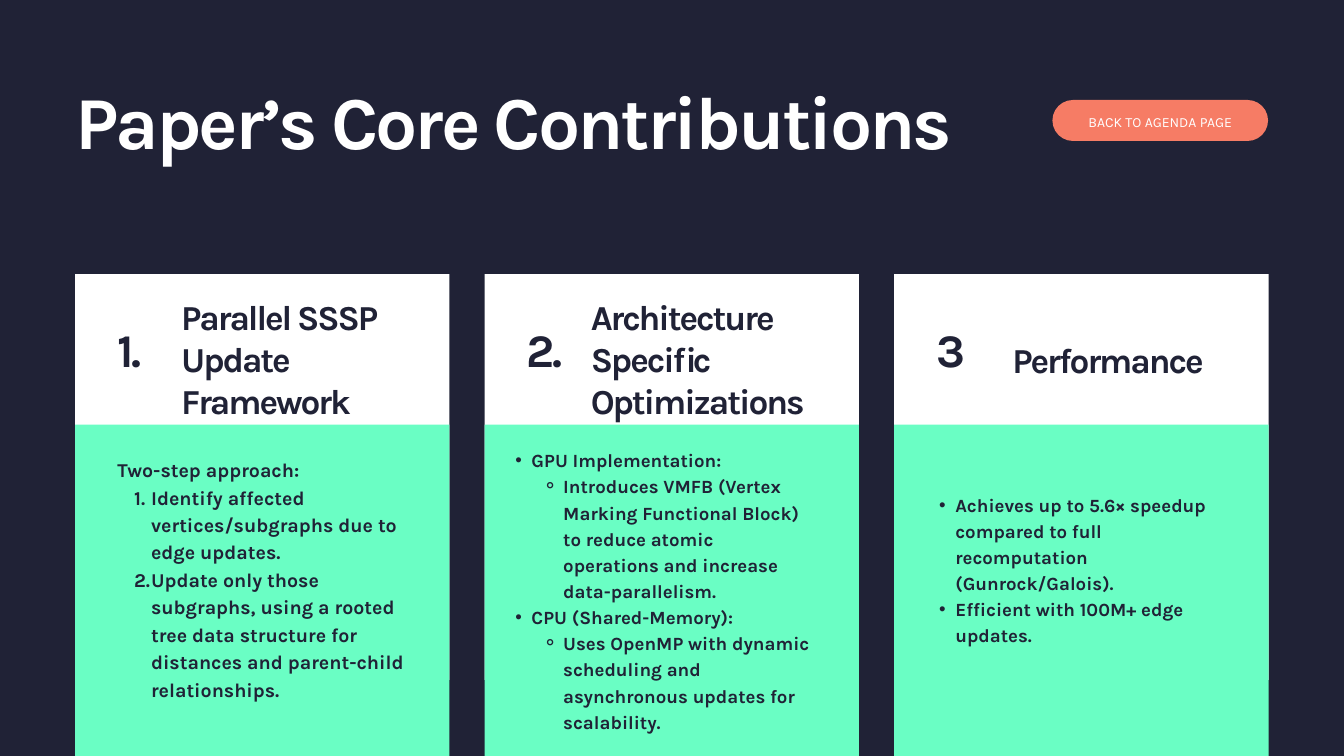
"""Build the slide on the paper's core contributions."""
from lxml import etree
from pptx import Presentation
from pptx import util as u
from pptx.dml.color import RGBColor
from pptx.enum import shapes, text
from pptx.oxml.ns import qn

NAVY = RGBColor(0x20, 0x22, 0x36)
MINT = RGBColor(0x6A, 0xFE, 0xC4)
CORAL = RGBColor(0xF6, 0x7C, 0x65)
WHITE = RGBColor(0xFF, 0xFF, 0xFF)
FONT = "Karla"

CARD_LEFT, CARD_PITCH, CARD_WIDTH = 2.84, 15.48, 14.15
NUMBERED = "1."
DOT, RING = "•", "⚬"

# Card parts: number, heading (text, offset, top), body (offset, top, width, height),
# body size, line spacing, indents by level, and lines of (level, marker, text).
CARDS = [
    {
        "number": "1.",
        "heading": ("Parallel SSSP Update Framework", 4.01, 11.18, 4.78),
        "body": (1.6, 17.17, 11.4, 10.31),
        "size": 21, "leading": 29.4, "indents": {1: (1.27, -0.64)},
        "lines": [
            (0, None, "Two-step approach:"),
            (1, NUMBERED, "Identify affected vertices/subgraphs due to edge updates."),
            (1, NUMBERED, "Update only those subgraphs, using a rooted tree data structure "
                          "for distances and parent-child relationships."),
        ],
    },
    {
        "number": "2.",
        "heading": ("Architecture Specific Optimizations", 4.01, 11.18, 6.38),
        "body": (0.58, 16.84, 11.81, 11.73),
        "size": 20, "leading": 28, "indents": {1: (1.19, -0.61), 2: (2.39, -0.79)},
        "lines": [
            (1, DOT, "GPU Implementation:"),
            (2, RING, "Introduces VMFB (Vertex Marking Functional Block) to reduce atomic "
                      "operations and increase data-parallelism."),
            (1, DOT, "CPU (Shared-Memory):"),
            (2, RING, "Uses OpenMP with dynamic scheduling and asynchronous updates "
                      "for scalability."),
        ],
    },
    {
        "number": "3",
        "heading": ("Performance", 4.47, 12.78, 1.6),
        "body": (1.12, 18.52, 11.2, 6.83),
        "size": 20, "leading": 28, "indents": {1: (1.19, -0.61)},
        "lines": [
            (1, DOT, "Achieves up to 5.6× speedup compared to full recomputation "
                     "(Gunrock/Galois)."),
            (1, DOT, "Efficient with 100M+ edge updates."),
        ],
    },
]


def add_block(slide, kind, left, top, width, height, color):
    """Add a plain filled shape."""
    block = slide.shapes.add_shape(kind, u.Cm(left), u.Cm(top), u.Cm(width), u.Cm(height))
    block.shadow.inherit = False
    block.fill.solid()
    block.fill.fore_color.rgb = color
    block.line.fill.background()
    return block


def clear_margins(frame):
    """Wrap the text and remove the inner margins."""
    frame.word_wrap = True
    frame.margin_left = frame.margin_right = frame.margin_top = frame.margin_bottom = 0


def style_paragraph(paragraph, size, leading, color, bold=True, tracking=0):
    """Set line spacing and font of one paragraph."""
    paragraph.line_spacing = u.Pt(leading)
    for run in paragraph.runs:
        run.font.name = FONT
        run.font.size = u.Pt(size)
        run.font.bold = bold
        run.font.color.rgb = color
        if tracking:
            run.font._element.set("spc", str(round(tracking * 100)))


def add_marker(paragraph, marker, indent):
    """Give a paragraph its hanging indent and its bullet or number."""
    margin, hanging = indent
    properties = paragraph._p.get_or_add_pPr()
    properties.set("marL", str(u.Cm(margin)))
    properties.set("indent", str(u.Cm(hanging)))
    if marker == NUMBERED:
        etree.SubElement(properties, qn("a:buAutoNum"), type="arabicPeriod")
    else:
        etree.SubElement(properties, qn("a:buFont"), typeface="Arial")
        etree.SubElement(properties, qn("a:buChar"), char=marker)


def add_text(slide, left, top, width, height):
    """Add a text box without margins and return its frame."""
    box = slide.shapes.add_textbox(u.Cm(left), u.Cm(top), u.Cm(width), u.Cm(height))
    clear_margins(box.text_frame)
    box.text_frame.auto_size = text.MSO_AUTO_SIZE.SHAPE_TO_FIT_TEXT
    return box.text_frame


def add_label(slide, wording, place, size, leading, color, tracking):
    """Add a bold label of one paragraph."""
    frame = add_text(slide, *place)
    frame.text = wording
    style_paragraph(frame.paragraphs[0], size, leading, color, tracking=tracking)


def add_body(slide, left, card):
    """Add the list of points of a card."""
    offset, top, width, height = card["body"]
    frame = add_text(slide, left + offset, top, width, height)
    frame.text = "\n".join(wording for _, _, wording in card["lines"])
    for paragraph, (level, marker, _) in zip(frame.paragraphs, card["lines"]):
        paragraph.level = level
        style_paragraph(paragraph, card["size"], card["leading"], NAVY)
        if marker:
            add_marker(paragraph, marker, card["indents"][level])


def add_card(slide, left, card):
    """Add a card with its number, heading and points."""
    rectangle = shapes.MSO_SHAPE.RECTANGLE
    add_block(slide, rectangle, left, 10.36, CARD_WIDTH, 15.34, WHITE)
    add_block(slide, rectangle, left, 16.05, CARD_WIDTH, 12.53, MINT)
    add_label(slide, card["number"], (left + 1.6, 12.14, 3.38, 2.13), 50, 60, NAVY, -3)
    heading, offset, top, height = card["heading"]
    add_label(slide, heading, (left + offset, top, 9.02, height), 37.6, 45.1, NAVY, -2.2)
    add_body(slide, left, card)


def add_button(slide, wording):
    """Add the pill-shaped button."""
    button = add_block(slide, shapes.MSO_SHAPE.ROUNDED_RECTANGLE, 39.78, 3.78, 8.15, 1.55, CORAL)
    button.adjustments[0] = 0.5
    frame = button.text_frame
    clear_margins(frame)
    frame.vertical_anchor = text.MSO_ANCHOR.MIDDLE
    frame.text = wording
    frame.paragraphs[0].alignment = text.PP_ALIGN.CENTER
    style_paragraph(frame.paragraphs[0], 15, 21, WHITE, bold=False)


def main():
    """Build and save the slide."""
    deck = Presentation()
    deck.slide_width, deck.slide_height = u.Cm(50.8), u.Cm(28.58)
    slide = deck.slides.add_slide(deck.slide_layouts[6])
    slide.background.fill.solid()
    slide.background.fill.fore_color.rgb = NAVY
    add_label(slide, "Paper’s Core Contributions", (2.84, 2.82, 34.21, 3.4), 80, 96, WHITE, -3.2)
    add_button(slide, "BACK TO AGENDA PAGE")
    for index, card in enumerate(CARDS):
        add_card(slide, CARD_LEFT + index * CARD_PITCH, card)
    deck.save("out.pptx")


if __name__ == "__main__":
    main()
